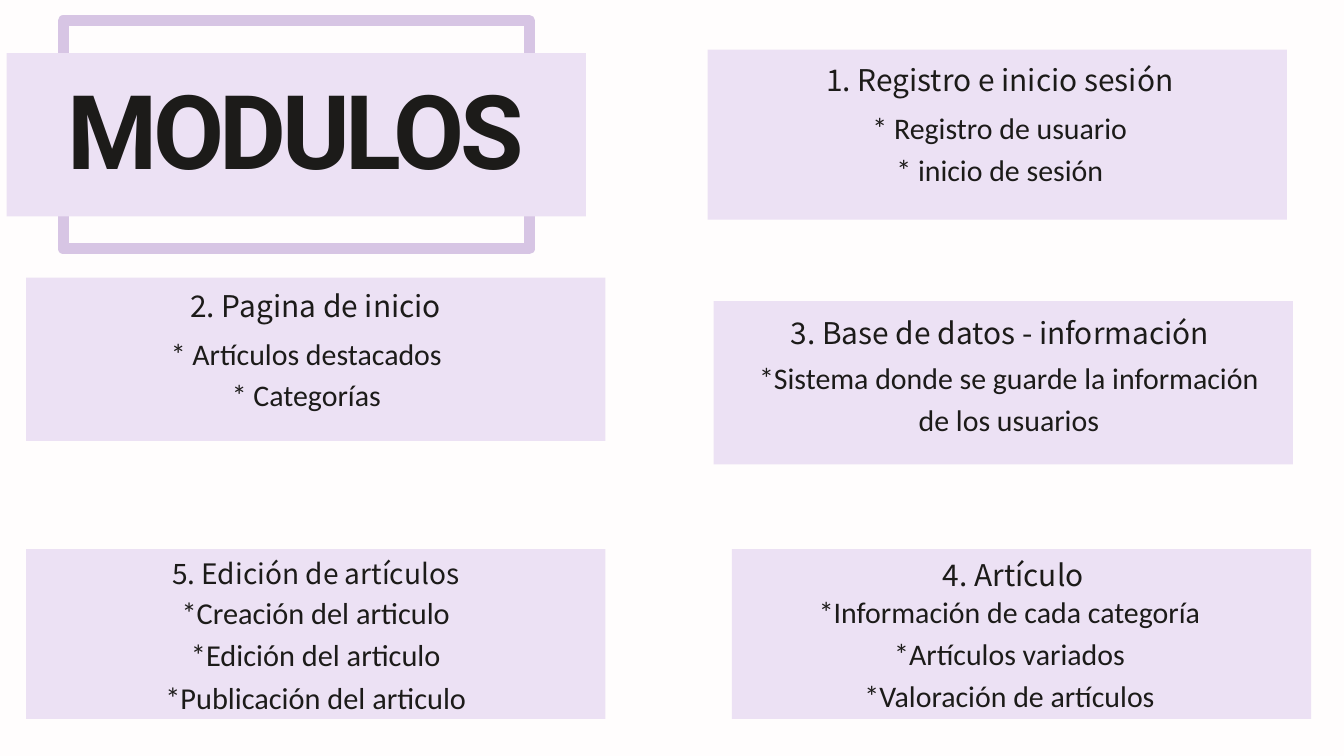
from pptx import Presentation
from pptx.dml.color import RGBColor
from pptx.enum.shapes import MSO_SHAPE
from pptx.enum.text import MSO_AUTO_SIZE, PP_ALIGN
from pptx.util import Inches, Pt

RECT = MSO_SHAPE.RECTANGLE
CENTER = PP_ALIGN.CENTER
GROW = MSO_AUTO_SIZE.SHAPE_TO_FIT_TEXT

COLORS = {"background": "FFFDFD", "card": "ECE1F4", "frame": "D7C5E4", "text": "1C1B19"}
HEADING_FONT = "Noto Sans CJK KR"
BODY_FONT = "Calibri"

MODULES = [
    {"card": (10.53, 0.74, 8.62, 2.53),
     "heading": ("1. Registro e inicio sesión ", (10.62, 0.83, 8.62, 0.6)),
     "body": (["* Registro de usuario ", "* inicio de sesión "], (10.77, 1.55, 8.32, 1.21))},
    {"card": (0.39, 4.13, 8.62, 2.43),
     "heading": ("2. Pagina de inicio", (0.39, 4.19, 8.62, 0.6)),
     "body": (["* Artículos destacados", "* Categorías"], (-0.56, 4.9, 10.24, 3.06))},
    {"card": (10.62, 4.48, 8.62, 2.43),
     "heading": ("3. Base de datos - información ", (10.62, 4.59, 8.62, 0.6)),
     "body": (["*Sistema donde se guarde la información de los usuarios"],
              (11.16, 5.27, 7.71, 1.21))},
    {"card": (10.89, 8.17, 8.62, 2.53),
     "heading": ("4. Artículo", (10.77, 8.2, 8.62, 0.6)),
     "body": (["*Información de cada categoría", "*Artículos variados",
               "*Valoración de artículos"], (11.64, 8.75, 6.77, 1.83))},
    {"card": (0.39, 8.17, 8.62, 2.53),
     "heading": ("5. Edición de artículos", (0.39, 8.19, 8.62, 0.58)),
     "body": (["*Creación del articulo", "*Edición del articulo",
               "*Publicación del articulo"], (1.43, 8.75, 6.54, 1.86)),
     "heading_size": 30.1, "body_size": 32.5},
]


def rgb(name):
    return RGBColor.from_string(COLORS[name])


def add_card(s, box):
    sp = s.shapes.add_shape(RECT, *map(Inches, box))
    sp.shadow.inherit = False
    sp.fill.solid()
    sp.fill.fore_color.rgb = rgb("card")
    sp.line.fill.background()


def add_frame(s, box):
    x, y, w, h = map(Inches, box)
    builder = s.shapes.build_freeform(x, y)
    builder.add_line_segments([(x + w, y), (x + w, y + h), (x, y + h)], close=True)
    sp = builder.convert_to_shape()
    sp.shadow.inherit = False
    sp.fill.background()
    sp.line.color.rgb = rgb("frame")
    sp.line.width = Pt(12)


def add_text(s, box, lines, spacing, font):
    sp = s.shapes.add_textbox(*map(Inches, box))
    tf = sp.text_frame
    frame_format = {"word_wrap": True, "auto_size": GROW, "margin_left": 0,
                    "margin_top": 0, "margin_right": 0, "margin_bottom": 0}
    for name, value in frame_format.items():
        setattr(tf, name, value)
    for i, line in enumerate(lines):
        p = tf.paragraphs[0] if i == 0 else tf.add_paragraph()
        p.alignment = CENTER
        p.line_spacing = Pt(spacing)
        r = p.add_run()
        r.text = line
        for name, value in font.items():
            setattr(r.font, name, value)
        r.font.color.rgb = rgb("text")
    return sp


def add_title(s, box):
    x, y, w, h = box
    add_frame(s, (x + 0.84, y - 0.48, 6.94, 3.39))
    add_card(s, box)
    sp = add_text(s, (x + 0.05, y + 0.02, 8.5, 2.12), ["MODULOS"], 145.7,
                  {"name": "Roboto", "size": Pt(110.4), "bold": True})
    sp.text_frame.paragraphs[0].runs[0].font._element.set("spc", "-480")


def add_module(s, module):
    add_card(s, module["card"])
    heading, heading_box = module["heading"]
    lines, body_box = module["body"]
    heading_size = module.get("heading_size", 32)
    body_size = module.get("body_size", 32)
    add_text(s, heading_box, [heading], round(heading_size * 1.4, 1),
             {"name": HEADING_FONT, "size": Pt(heading_size)})
    add_text(s, body_box, lines, round(body_size * 1.4, 1),
             {"name": BODY_FONT, "size": Pt(body_size)})


def main():
    prs = Presentation()
    prs.slide_width = Inches(20)
    prs.slide_height = Inches(11.25)
    s = prs.slides.add_slide(prs.slide_layouts[6])
    s.background.fill.solid()
    s.background.fill.fore_color.rgb = rgb("background")
    add_title(s, (0.1, 0.79, 8.62, 2.43))
    for module in MODULES:
        add_module(s, module)
    prs.save("out.pptx")


if __name__ == "__main__":
    main()
